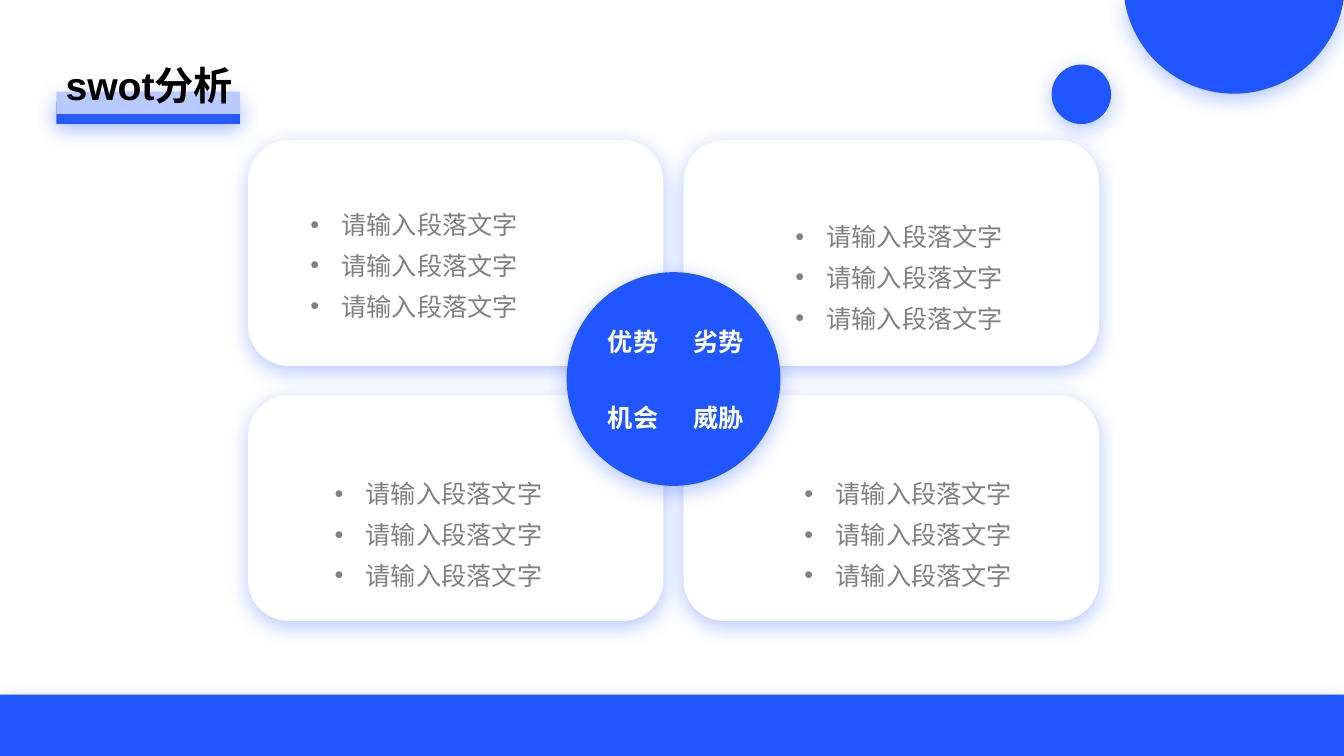
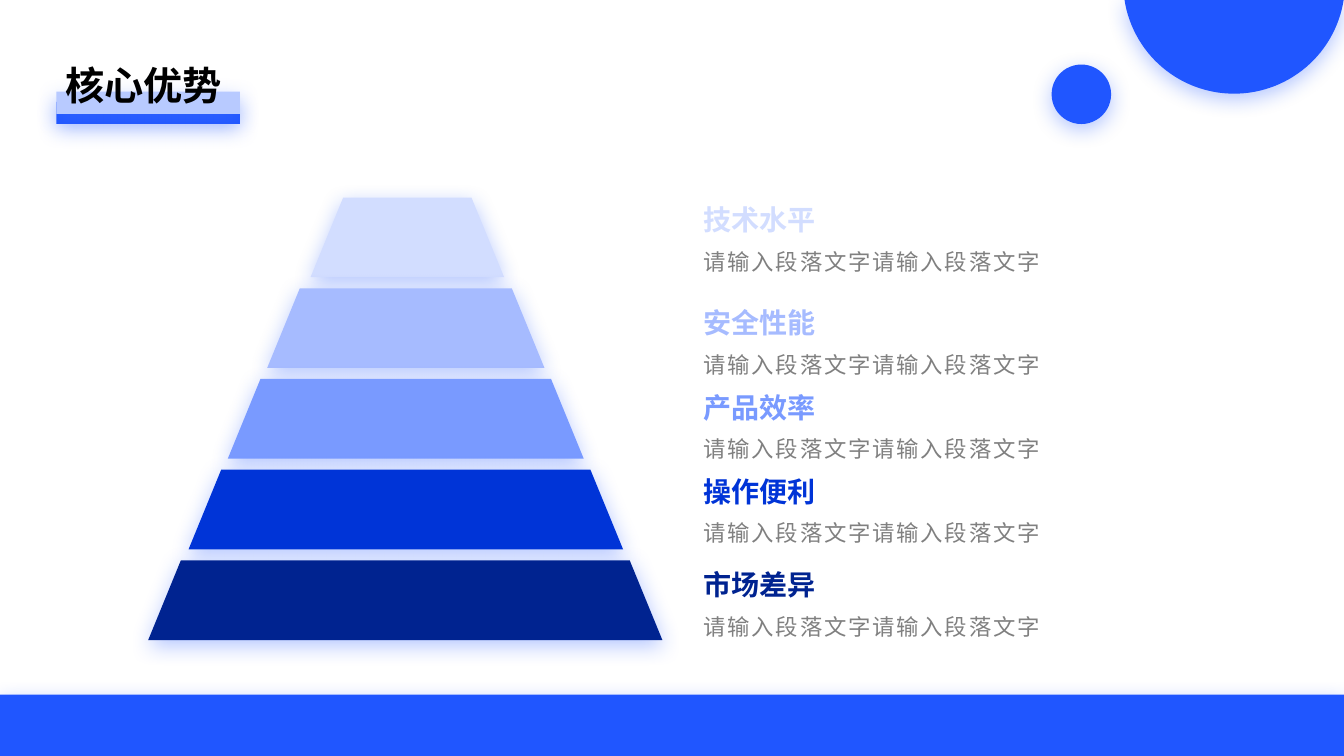
from dataclasses import dataclass
from math import asin, cos, pi, sin

from lxml.etree import SubElement
from pptx import Presentation
from pptx.dml.color import RGBColor
from pptx.enum.shapes import MSO_SHAPE as Shape
from pptx.enum.text import MSO_ANCHOR as Anchor, MSO_AUTO_SIZE as Fit, PP_ALIGN as Align
from pptx.oxml.ns import qn
from pptx.util import Inches, Pt


@dataclass(frozen=True)
class Theme:
    blue: str = "2056FF"
    pale: str = "B8CAFF"
    glow: str = "4A78FF"
    white: str = "FFFFFF"
    black: str = "000000"
    gray: str = "808080"
    tiers: tuple = ("D2DDFF", "A6BBFF", "799AFF", "0034D7", "002390")
    latin: str = "Arial"
    cjk: str = "Noto Sans CJK SC"
    title: float = 28
    head: float = 20
    list: float = 18
    body: float = 16
    pitch: float = 29.2


T = Theme()
HINT = "请输入段落文字"


def rgb(code):
    return RGBColor.from_string(code)


def paint(shape, fill, glow=T.blue):
    """Fill a shape, drop its line and give it the soft shadow."""
    shape.fill.solid()
    shape.fill.fore_color.rgb = rgb(fill)
    shape.line.fill.background()
    shape.shadow.inherit = False
    effects = shape.element.spPr.find(qn("a:effectLst"))
    shade = SubElement(effects, qn("a:outerShdw"), blurRad=str(Pt(15)),
                       dist=str(Pt(4)), dir="5400000", algn="t", rotWithShape="0")
    tint = SubElement(shade, qn("a:srgbClr"), val=glow)
    SubElement(tint, qn("a:alpha"), val="32000")


def block(slide, kind, box, fill, adj=None, glow=T.blue):
    shape = slide.shapes.add_shape(kind, *map(Inches, box))
    if adj is not None:
        shape.adjustments[0] = adj
    paint(shape, fill, glow)


def write(para, text, size, color, bold=False, face=T.cjk, gap=0):
    """Add one run; gap is the letter spacing in points."""
    run = para.add_run()
    run.text = text
    font = run.font
    font.size, font.bold, font.name = Pt(size), bold, face
    font.color.rgb = rgb(color)
    props = run._r.get_or_add_rPr()
    SubElement(props, qn("a:ea"), typeface=T.cjk)
    if gap:
        props.set("spc", str(round(gap * 100)))


def frame(slide, box, wrap=True):
    text = slide.shapes.add_textbox(*map(Inches, box)).text_frame
    text.word_wrap = wrap
    text.vertical_anchor = Anchor.MIDDLE
    text.margin_top = text.margin_bottom = 0
    return text


def bullets(slide, box, items):
    text = frame(slide, box)
    text.vertical_anchor = Anchor.TOP
    text.margin_top = Inches(0.08)
    for i, item in enumerate(items):
        para = text.add_paragraph() if i else text.paragraphs[0]
        para.line_spacing = Pt(T.pitch)
        props = para._p.get_or_add_pPr()
        props.set("marL", str(Inches(0.31)))
        props.set("indent", str(-Inches(0.31)))
        SubElement(props, qn("a:buFont"), typeface=T.latin)
        SubElement(props, qn("a:buChar"), char="•")
        write(para, item, T.list, T.gray)


def disc(slide, x, y, r):
    """Draw the part of a disc that lies below the top edge of the slide."""
    start = asin(-y / r)
    steps = 60
    turns = [start + (pi - 2 * start) * i / steps for i in range(steps + 1)]
    dots = [(Inches(x + r * cos(a)), Inches(y + r * sin(a))) for a in turns]
    path = slide.shapes.build_freeform(*dots[0])
    path.add_line_segments(dots[1:], close=True)
    paint(path.convert_to_shape(), T.blue)


def dress(slide, layout):
    """Draw the shared decoration and hand it over to the layout."""
    for holder in list(layout.placeholders)[1:]:
        holder.element.getparent().remove(holder.element)
    old = len(slide.shapes)
    block(slide, Shape.RECTANGLE, (0, 6.89, 13.33, 0.61), T.blue)
    block(slide, Shape.RECTANGLE, (0.56, 1.01, 1.82, 0.22), T.blue)
    block(slide, Shape.RECTANGLE, (0.56, 0.91, 1.82, 0.22), T.pale, glow=T.glow)
    block(slide, Shape.OVAL, (10.43, 0.64, 0.59, 0.59), T.blue)
    disc(slide, 12.24, -0.17, 1.1)
    for shape in list(slide.shapes)[old:]:
        layout.shapes.element.append(shape.element)


def head(slide, title):
    holder = slide.shapes.title
    holder.left, holder.top, holder.width, holder.height = map(
        Inches, (0.55, 0.61, 5.56, 0.52))
    text = holder.text_frame
    text.auto_size = Fit.NONE
    text.vertical_anchor = Anchor.MIDDLE
    para = text.paragraphs[0]
    para.alignment, para.line_spacing = Align.LEFT, 0.9
    write(para, title, T.title, T.black, True, T.latin)


def hub(slide, x, y, size, names):
    block(slide, Shape.OVAL, (x, y, size, size), T.blue)
    for i, name in enumerate(names):
        row, col = divmod(i, 2)
        box = (x + 0.31 + 0.85 * col, y + 0.49 + 0.75 * row, 0.71, 0.4)
        write(frame(slide, box, False).paragraphs[0], name, T.list, T.white, True)


def swot(slide, x, y):
    wide, high = 4.12, 2.24
    shifts = ((0.52, 0.5), (1.01, 0.62), (0.76, 0.64), (1.1, 0.64))
    spots = [(x + 4.32 * col, y + 2.53 * row) for row in (0, 1) for col in (0, 1)]
    for left, top in spots:
        block(slide, Shape.ROUNDED_RECTANGLE, (left, top, wide, high), T.white, 0.18)
    for (left, top), (dx, dy) in zip(spots, shifts):
        bullets(slide, (left + dx, top + dy, 2.5, 1.3), [HINT] * 3)
    hub(slide, x + 3.16, y + 1.31, 2.12, ("优势", "劣势", "机会", "威胁"))


def tower(slide, x, y):
    """Stack the tiers from the top down; x is the left end of the base."""
    spans = ((1.61, 1.92), (1.18, 2.75), (0.79, 3.53), (0.4, 4.31), (0, 5.1))
    for i, ((dx, wide), color) in enumerate(zip(spans, T.tiers)):
        block(slide, Shape.TRAPEZOID, (x + dx, y + 0.9 * i, wide, 0.79), color, 0.41)


def notes(slide, x, y):
    rows = (("技术水平", 0), ("安全性能", 1.02), ("产品效率", 1.86),
            ("操作便利", 2.69), ("市场差异", 3.62))
    for (name, dy), color in zip(rows, T.tiers):
        label = frame(slide, (x, y + dy, 1.92, 0.44))
        write(label.paragraphs[0], name, T.head, color, True)
        para = frame(slide, (x, y + dy + 0.36, 3.69, 0.44)).paragraphs[0]
        para.line_spacing = 1.4
        write(para, HINT * 2, T.body, T.gray, gap=1.3)


def main():
    deck = Presentation()
    deck.slide_width, deck.slide_height = Inches(13.33), Inches(7.5)
    layout = deck.slide_layouts[5]

    first = deck.slides.add_slide(layout)
    dress(first, layout)
    head(first, "swot分析")
    swot(first, 2.46, 1.39)

    second = deck.slides.add_slide(layout)
    head(second, "核心优势")
    tower(second, 1.47, 1.96)
    notes(second, 6.88, 1.96)
    deck.save("out.pptx")


if __name__ == "__main__":
    main()
